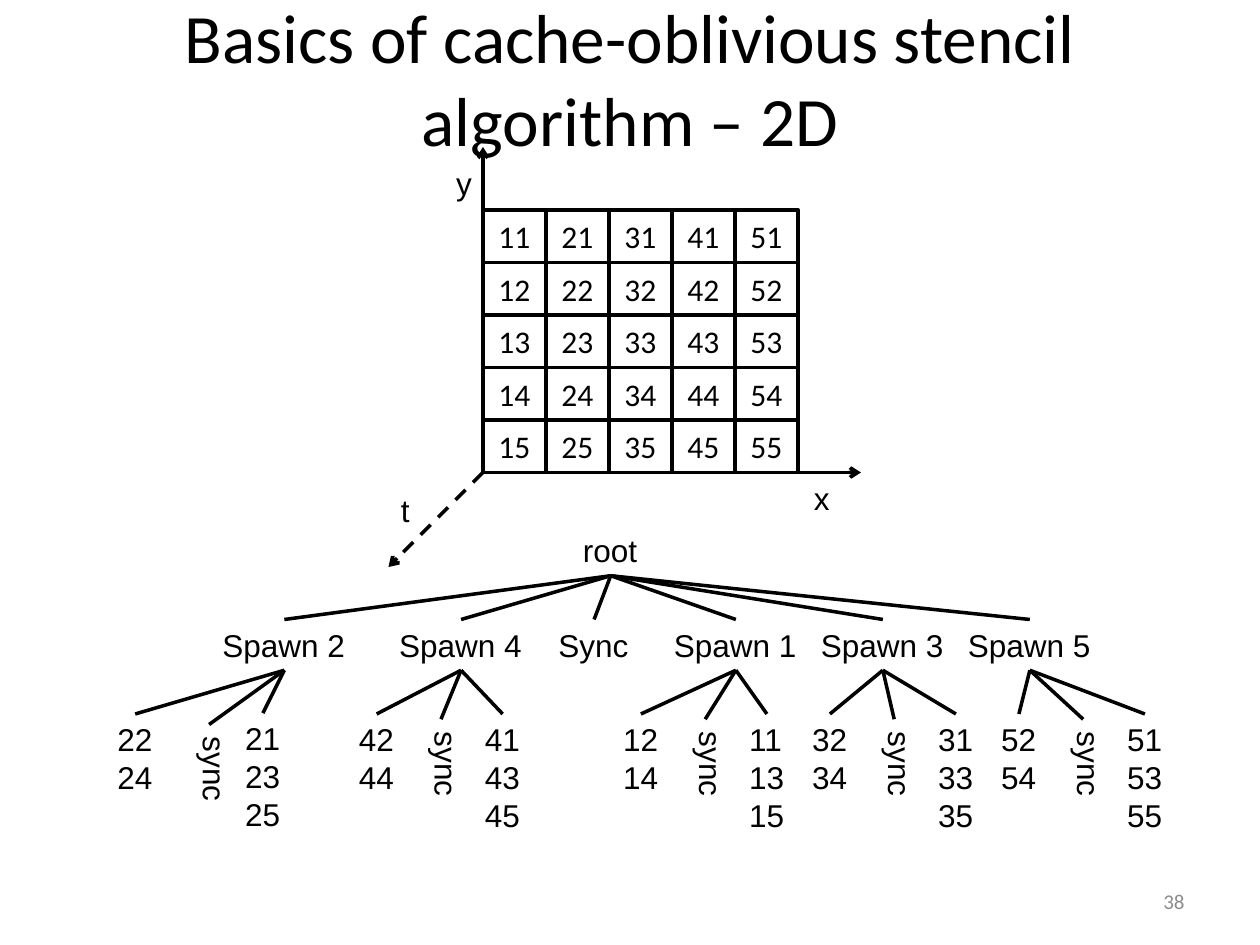
"""Builds the slide on the 2D cache-oblivious stencil algorithm."""
from lxml import etree
from pptx import Presentation
from pptx.dml.color import RGBColor
from pptx.enum.dml import MSO_LINE
from pptx.enum.shapes import MSO_CONNECTOR, MSO_SHAPE
from pptx.enum.text import MSO_ANCHOR, PP_ALIGN
from pptx.oxml.ns import qn
from pptx.util import Pt

BLACK = RGBColor(0x00, 0x00, 0x00)
WHITE = RGBColor(0xFF, 0xFF, 0xFF)
GRAY = RGBColor(0x8C, 0x8C, 0x8C)
LEFT, CENTER, RIGHT = PP_ALIGN.LEFT, PP_ALIGN.CENTER, PP_ALIGN.RIGHT
TOP, MIDDLE = MSO_ANCHOR.TOP, MSO_ANCHOR.MIDDLE
DASH = MSO_LINE.DASH
STRAIGHT = MSO_CONNECTOR.STRAIGHT
RECTANGLE = MSO_SHAPE.RECTANGLE

TITLE = "Basics of cache-oblivious stencil algorithm – 2D"
SLIDE_NUMBER = "38"

GRID_SIZE = 5
GRID_LEFT, GRID_TOP = 276, 120
CELL_WIDTH, CELL_HEIGHT = 36, 30
ORIGIN = (GRID_LEFT, GRID_TOP + GRID_SIZE * CELL_HEIGHT)
AXES = [
    ("x", (458, 270, 22, 29), (492, 270), None),
    ("y", (253.5, 90, 23, 29), (276, 84), None),
    ("t", (222, 277, 21, 29), (222, 324), DASH),
]

LINE_WIDTH = 2
LABEL_HEIGHT = 29
LEAF_WIDTH, SYNC_WIDTH, SYNC_HEIGHT = 34.5, 36, 44.5
ROOT_BOX = (326, 300, 46, LABEL_HEIGHT)
ROOT_POINT = (349, 329)
BRANCH_TOP = 354
BRANCH_BOTTOM = BRANCH_TOP + LABEL_HEIGHT
LEAF_TOP, SYNC_TOP = 408, 411
BRANCHES = [
    {"text": "Spawn 2", "left": 120, "width": 85, "column": 2,
     "even": (60, LEAF_TOP), "sync": (101.5, 414), "odd": (133, 407.5)},
    {"text": "Spawn 4", "left": 221, "width": 85, "column": 4, "leaf_left": 198},
    {"text": "Sync", "left": 312, "width": 55},
    {"text": "Spawn 1", "left": 378, "width": 85, "column": 1, "leaf_left": 349},
    {"text": "Spawn 3", "left": 462, "width": 85, "column": 3, "leaf_left": 457},
    {"text": "Spawn 5", "left": 546, "width": 85, "column": 5, "leaf_left": 565},
]

presentation = Presentation()
presentation.slide_width, presentation.slide_height = Pt(720), Pt(540)
slide = presentation.slides.add_slide(presentation.slide_layouts[6])


def write_text(shape, text, size=18, font="Arial", color=BLACK, align=LEFT,
               anchor=TOP, wrap=False, vertical=False):
    frame = shape.text_frame
    frame.text = text
    frame.word_wrap = wrap
    frame.vertical_anchor = anchor
    if vertical:
        frame._txBody.bodyPr.set("vert", "eaVert")
    for paragraph in frame.paragraphs:
        paragraph.alignment = align
        paragraph.font.size = Pt(size)
        paragraph.font.name = font
        paragraph.font.color.rgb = color


def add_label(box, text, **text_format):
    shape = slide.shapes.add_textbox(*map(Pt, box))
    write_text(shape, text, **text_format)


def add_cell(column, row):
    cell = slide.shapes.add_shape(
        RECTANGLE,
        Pt(GRID_LEFT + (column - 1) * CELL_WIDTH),
        Pt(GRID_TOP + (row - 1) * CELL_HEIGHT),
        Pt(CELL_WIDTH), Pt(CELL_HEIGHT))
    cell.shadow.inherit = False
    cell.fill.solid()
    cell.fill.fore_color.rgb = WHITE
    cell.line.color.rgb = BLACK
    cell.line.width = Pt(LINE_WIDTH)
    write_text(cell, f"{column}{row}", font="Calibri", align=CENTER,
               anchor=MIDDLE, wrap=True)


def add_line(start, end, arrow=False, dash=None):
    connector = slide.shapes.add_connector(STRAIGHT, *map(Pt, start + end))
    connector.line.color.rgb = BLACK
    connector.line.width = Pt(LINE_WIDTH)
    if dash is not None:
        connector.line.dash_style = dash
    properties = connector._element.spPr
    if arrow:
        etree.SubElement(properties.find(qn("a:ln")), qn("a:tailEnd"), type="arrow")
    etree.SubElement(properties, qn("a:effectLst"))


def add_leaves(branch, start):
    column = branch["column"]
    base = branch.get("leaf_left", 0)
    even = branch.get("even", (base, LEAF_TOP))
    sync = branch.get("sync", (base + 36, SYNC_TOP))
    odd = branch.get("odd", (base + 72, LEAF_TOP))
    leaves = [
        (even, LEAF_WIDTH, 51, "\n".join(f"{column}{row}" for row in (2, 4)), False),
        (sync, SYNC_WIDTH, SYNC_HEIGHT, "sync", True),
        (odd, LEAF_WIDTH, 73, "\n".join(f"{column}{row}" for row in (1, 3, 5)), False),
    ]
    for (left, top), width, height, text, vertical in leaves:
        add_label((left, top, width, height), text, vertical=vertical)
        add_line(start, (left + width / 2, top))


for row in range(1, GRID_SIZE + 1):
    for column in range(1, GRID_SIZE + 1):
        add_cell(column, row)

for name, box, tip, dash in AXES:
    add_line(ORIGIN, tip, arrow=True, dash=dash)
    add_label(box, name)

add_label((516, 500.5, 168, 29), SLIDE_NUMBER, size=12, font="Calibri",
          color=GRAY, align=RIGHT, anchor=MIDDLE, wrap=True)
add_label((36, 21.5, 648, 45), TITLE, size=39.6, font="Calibri",
          align=CENTER, anchor=MIDDLE, wrap=True)

add_label(ROOT_BOX, "root")
for branch in BRANCHES:
    center = branch["left"] + branch["width"] / 2
    add_label((branch["left"], BRANCH_TOP, branch["width"], LABEL_HEIGHT), branch["text"])
    add_line(ROOT_POINT, (center, BRANCH_TOP))
    if "column" in branch:
        add_leaves(branch, (center, BRANCH_BOTTOM))

presentation.save("out.pptx")
